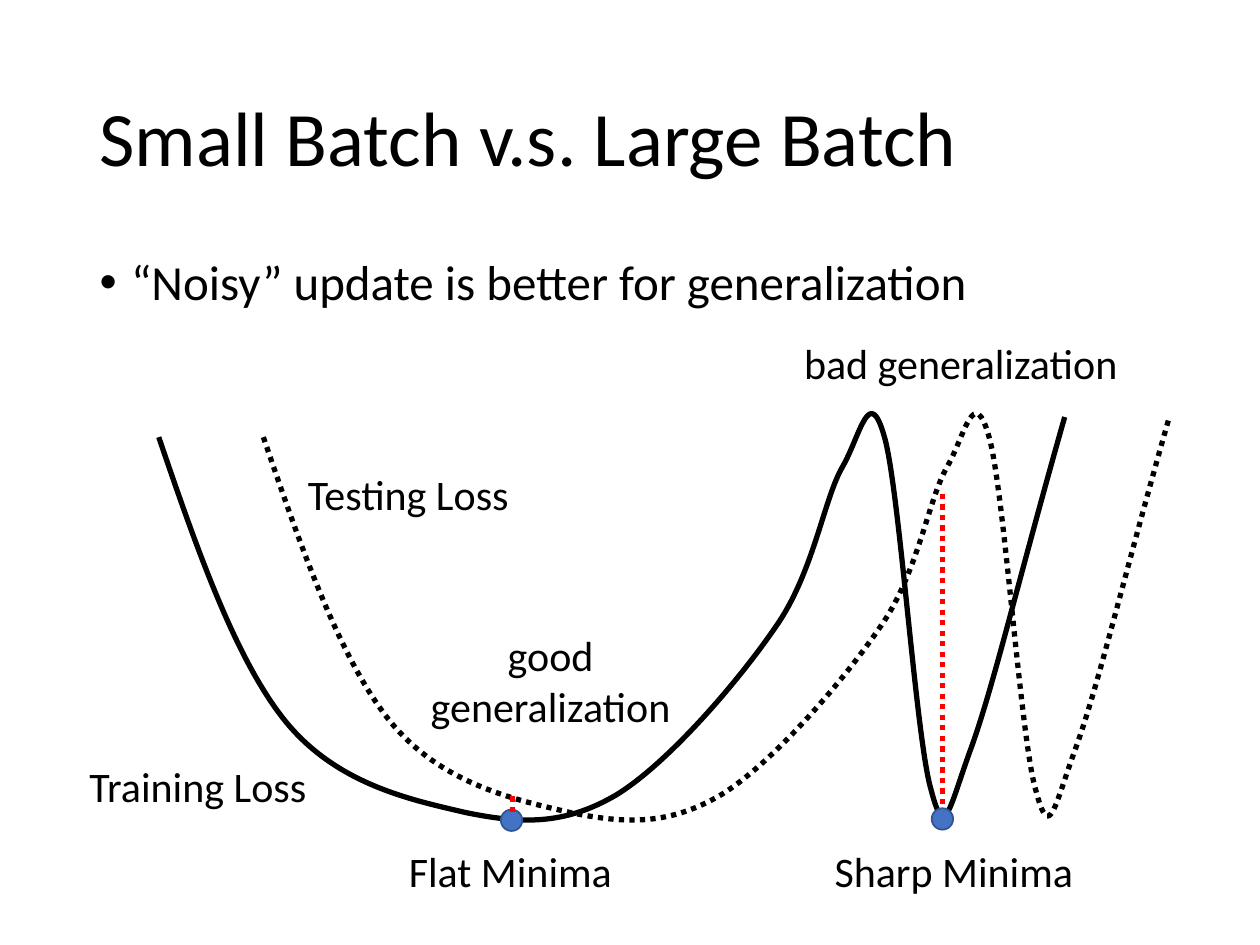
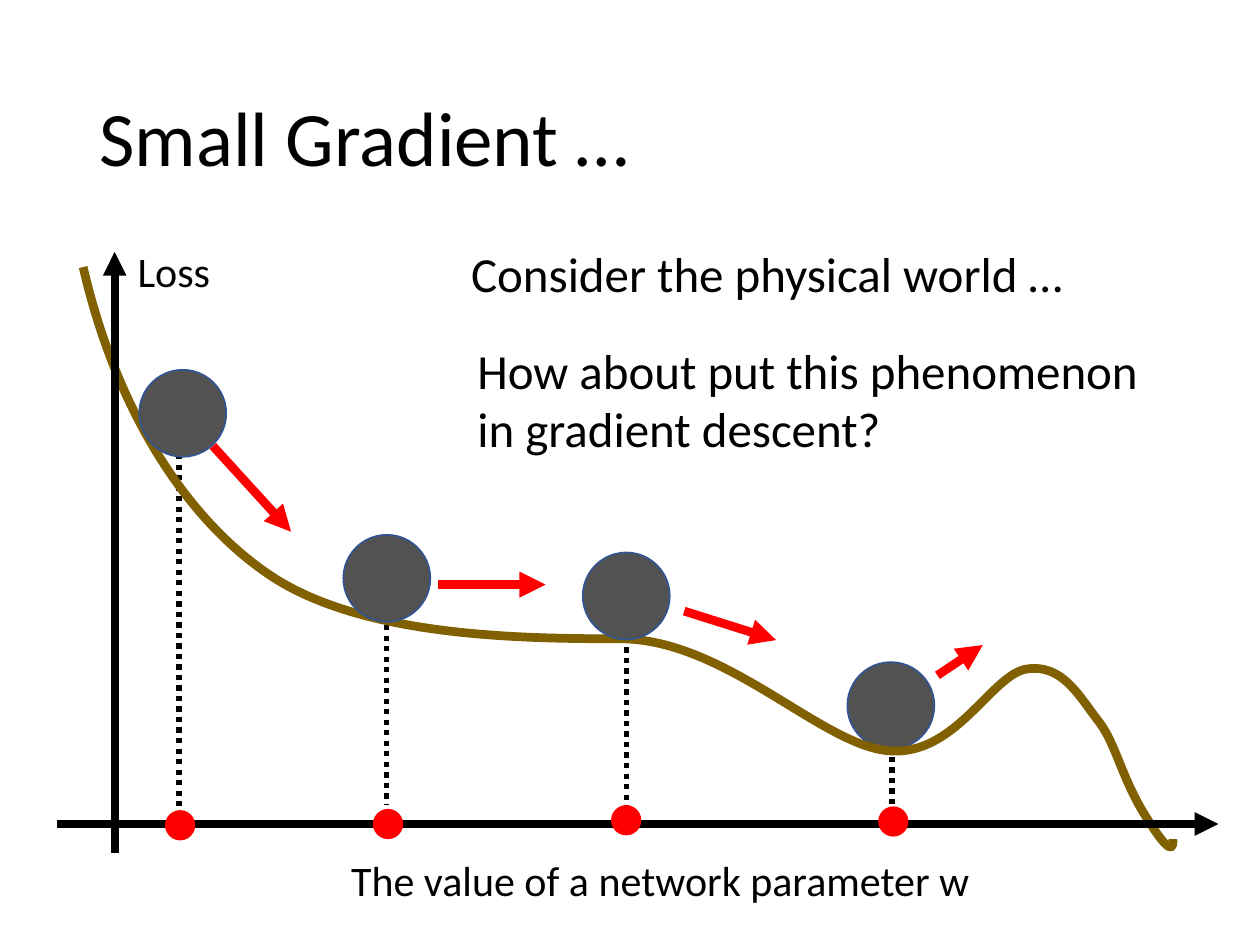
from lxml import etree
from pptx import Presentation
from pptx import util as u
from pptx.dml.color import RGBColor
from pptx.enum import dml, shapes, text
from pptx.oxml.ns import qn

COLOURS = {
    "ink": "000000",
    "accent": "FF0000",
    "minimum": "4472C4",
    "outline": "325491",
    "ball": "525252",
    "terrain": "806000",
}
FONT = "Calibri"
TITLE_AND_BODY, TITLE_ONLY = 1, 5
TITLE_BOX = (0.69, 0.4, 8.62, 1.45)
BODY_BOX = (0.69, 2, 8.62, 4.76)

# Each curve is a start point followed by (control, control, end) triples.
LOSS_CURVE = ((0.26, 0.47), [
    ((0.56, 1.35), (0.87, 2.24), (1.27, 2.73)),
    ((1.68, 3.23), (2.27, 3.35), (2.7, 3.45)),
    ((3.14, 3.54), (3.48, 3.55), (3.89, 3.31)),
    ((4.3, 3.06), (4.86, 2.41), (5.16, 1.97)),
    ((5.46, 1.54), (5.54, 0.95), (5.69, 0.7)),
    ((5.83, 0.45), (5.9, 0.04), (6.02, 0.47)),
    ((6.14, 0.89), (6.27, 2.87), (6.39, 3.27)),
    ((6.5, 3.69), (6.53, 3.42), (6.71, 2.93)),
    ((6.89, 2.43), (7.08, 1.61), (7.45, 0.31)),
])
TERRAIN_CURVE = ((0.16, 0.12), [
    ((0.4, 1.16), (0.91, 2.06), (1.62, 2.55)),
    ((2.34, 3.05), (3.59, 3.07), (4.42, 3.07)),
    ((5.26, 3.07), (6.02, 3.92), (6.56, 3.96)),
    ((7.09, 4), (7.37, 3.35), (7.65, 3.31)),
    ((7.92, 3.27), (8.05, 3.5), (8.2, 3.7)),
    ((8.36, 3.89), (8.39, 4.16), (8.6, 4.49)),
    ((8.8, 4.81), (8.81, 4.73), (8.81, 4.66)),
])


def colour(name):
    """Return the named colour."""
    return RGBColor.from_string(COLOURS[name])


def shift(origin, point):
    """Move a point from region coordinates to slide coordinates."""
    return origin[0] + point[0], origin[1] + point[1]


def style_line(line, name, width, dotted=False):
    """Set colour, width and dash of a line."""
    line.color.rgb = colour(name)
    line.width = u.Pt(width)
    if dotted:
        line.dash_style = dml.MSO_LINE.ROUND_DOT


def style_para(para, size):
    """Give a paragraph the deck's font."""
    para.font.name = FONT
    para.font.size = u.Pt(size)
    para.font.color.rgb = colour("ink")


def fill_placeholder(holder, box, words, size):
    """Place a placeholder and write one left-aligned paragraph in it."""
    holder.left, holder.top, holder.width, holder.height = map(u.Inches, box)
    holder.text_frame.text = words
    holder.text_frame.auto_size = text.MSO_AUTO_SIZE.NONE
    para = holder.text_frame.paragraphs[0]
    para.alignment = text.PP_ALIGN.LEFT
    para.line_spacing = 0.9
    style_para(para, size)
    return para


def add_page(deck, layout, title):
    """Add a slide with the shared title style."""
    page = deck.slides.add_slide(deck.slide_layouts[layout])
    fill_placeholder(page.shapes.title, TITLE_BOX, title, 44)
    page.shapes.title.text_frame.vertical_anchor = text.MSO_ANCHOR.MIDDLE
    return page


def add_bullet(page, words):
    """Write the bulleted statement in the body placeholder."""
    para = fill_placeholder(page.placeholders[1], BODY_BOX, words, 28)
    para.space_before = u.Pt(10)
    props = para._p.get_or_add_pPr()
    props.set("marL", str(u.Inches(0.25)))
    props.set("indent", str(-u.Inches(0.25)))
    etree.SubElement(props, qn("a:buFont")).set("typeface", "Arial")
    etree.SubElement(props, qn("a:buChar")).set("char", "•")


def add_label(page, origin, place, width, words, size=24, height=0.5,
              align=text.PP_ALIGN.CENTER):
    """Add a wrapping text label."""
    left, top = shift(origin, place)
    box = page.shapes.add_textbox(*map(u.Inches, (left, top, width, height)))
    box.text_frame.word_wrap = True
    box.text_frame.auto_size = text.MSO_AUTO_SIZE.SHAPE_TO_FIT_TEXT
    box.text_frame.text = words
    para = box.text_frame.paragraphs[0]
    para.alignment = align
    style_para(para, size)


def add_circle(page, origin, centre, size, fill, outline=None):
    """Add a filled circle around a centre point."""
    x, y = shift(origin, centre)
    circle = page.shapes.add_shape(
        shapes.MSO_SHAPE.OVAL,
        *map(u.Inches, (x - size / 2, y - size / 2, size, size)))
    circle.shadow.inherit = False
    circle.fill.solid()
    circle.fill.fore_color.rgb = colour(fill)
    if outline:
        style_line(circle.line, outline, 1)
    else:
        circle.line.fill.background()


def add_line(page, origin, start, end, name, width, dotted=False, arrow=False):
    """Add a straight line, dotted or ending in an arrowhead."""
    ends = shift(origin, start) + shift(origin, end)
    line = page.shapes.add_connector(
        shapes.MSO_CONNECTOR.STRAIGHT, *map(u.Inches, ends))
    style_line(line.line, name, width, dotted)
    if arrow:
        head = etree.SubElement(line.line._get_or_add_ln(), qn("a:tailEnd"))
        head.set("type", "triangle")
    etree.SubElement(line._element.spPr, qn("a:effectLst"))


def add_curve(page, origin, curve, name, width, dotted=False):
    """Add an open Bezier curve: a freeform whose segments are bent."""
    start, bends = curve
    to_emu = lambda point: tuple(map(u.Inches, shift(origin, point)))
    builder = page.shapes.build_freeform(*to_emu(start))
    builder.add_line_segments([to_emu(bend[-1]) for bend in bends], close=False)
    shape = builder.convert_to_shape()
    for segment, bend in zip(list(shape._element.iter(qn("a:lnTo"))), bends):
        cubic = etree.Element(qn("a:cubicBezTo"))
        for x, y in map(to_emu, bend):
            etree.SubElement(cubic, qn("a:pt"),
                             x=str(x - shape.left), y=str(y - shape.top))
        segment.getparent().replace(segment, cubic)
    shape.shadow.inherit = False
    shape.fill.background()
    style_line(shape.line, name, width, dotted)


def draw_loss_curves(page, origin):
    """Draw training and testing loss with a flat and a sharp minimum."""
    add_curve(page, origin, LOSS_CURVE, "ink", 3)
    add_curve(page, shift(origin, (0.83, 0)), LOSS_CURVE, "ink", 3, dotted=True)
    for centre in ((3.06, 3.51), (6.48, 3.5)):
        add_circle(page, origin, centre, 0.17, "minimum", "outline")
    for place, words in (
        ((1.54, 3.66), "Flat Minima"),
        ((5.06, 3.66), "Sharp Minima"),
        ((-0.94, 2.99), "Training Loss"),
        ((0.73, 0.67), "Testing Loss"),
    ):
        add_label(page, origin, place, 3.02, words)
    add_label(page, origin, (2.22, 1.95), 2.3, "good generalization", height=0.91)
    add_label(page, origin, (4.69, -0.37), 3.87, "bad generalization")
    for x, top, bottom in ((3.07, 3.32, 3.48), (6.48, 0.92, 3.42)):
        add_line(page, origin, (x, top), (x, bottom), "accent", 3, dotted=True)


def draw_rolling_ball(page, origin):
    """Draw a ball rolling down the loss terrain, with its parameter values."""
    balls = [(0.95, 1.28), (2.57, 2.59), (4.47, 2.73), (6.57, 3.6)]
    drops = [(0.92, 1.27, 4.42), (2.57, 2.46, 4.39),
             (4.47, 2.47, 4.4), (6.58, 3.59, 4.39)]
    values = [(0.93, 4.55), (2.58, 4.54), (4.47, 4.51), (6.59, 4.52)]
    pushes = [((1.19, 1.54), (1.81, 2.22)), ((2.98, 2.64), (3.83, 2.64)),
              ((4.93, 2.85), (5.66, 3.08)), ((6.94, 3.36), (7.3, 3.12))]

    def add_ball(centre):
        """Add one position of the ball."""
        add_circle(page, origin, centre, 0.69, "ball", "outline")

    for x, top, bottom in drops:
        add_line(page, origin, (x, top), (x, bottom), "ink", 3, dotted=True)
    add_ball(balls[-1])  # the last ball lies behind the terrain
    add_curve(page, origin, TERRAIN_CURVE, "terrain", 5)
    for start, end in (((-0.05, 4.54), (9.17, 4.54)), ((0.41, 4.77), (0.41, 0))):
        add_line(page, origin, start, end, "ink", 4.5, arrow=True)
    for centre in balls[:-1]:
        add_ball(centre)
    for centre in values:
        add_circle(page, origin, centre, 0.24, "accent")
    for start, end in pushes:
        add_line(page, origin, start, end, "accent", 5, arrow=True)
    add_label(page, origin, (0.35, -0.1), 1.06, "Loss")
    add_label(page, origin, (1.9, 4.73), 5.68, "The value of a network parameter w")


def add_remarks(page, origin):
    """Write the two remarks beside the terrain."""
    left = text.PP_ALIGN.LEFT
    add_label(page, origin, (0, 0), 5.68, "Consider the physical world …",
              28, 0.57, left)
    add_label(page, origin, (0.05, 0.77), 5.56,
              "How about put this phenomenon in gradient descent?",
              28, 1.04, left)


def main():
    """Build and save the deck."""
    deck = Presentation()
    deck.slide_width, deck.slide_height = u.Inches(10), u.Inches(7.5)

    page = add_page(deck, TITLE_AND_BODY, "Small Batch v.s. Large Batch")
    add_bullet(page, "“Noisy” update is better for generalization")
    draw_loss_curves(page, (1, 3))

    page = add_page(deck, TITLE_ONLY, "Small Gradient …")
    draw_rolling_ball(page, (0.5, 2))
    add_remarks(page, (3.64, 1.88))

    deck.save("out.pptx")


main()
